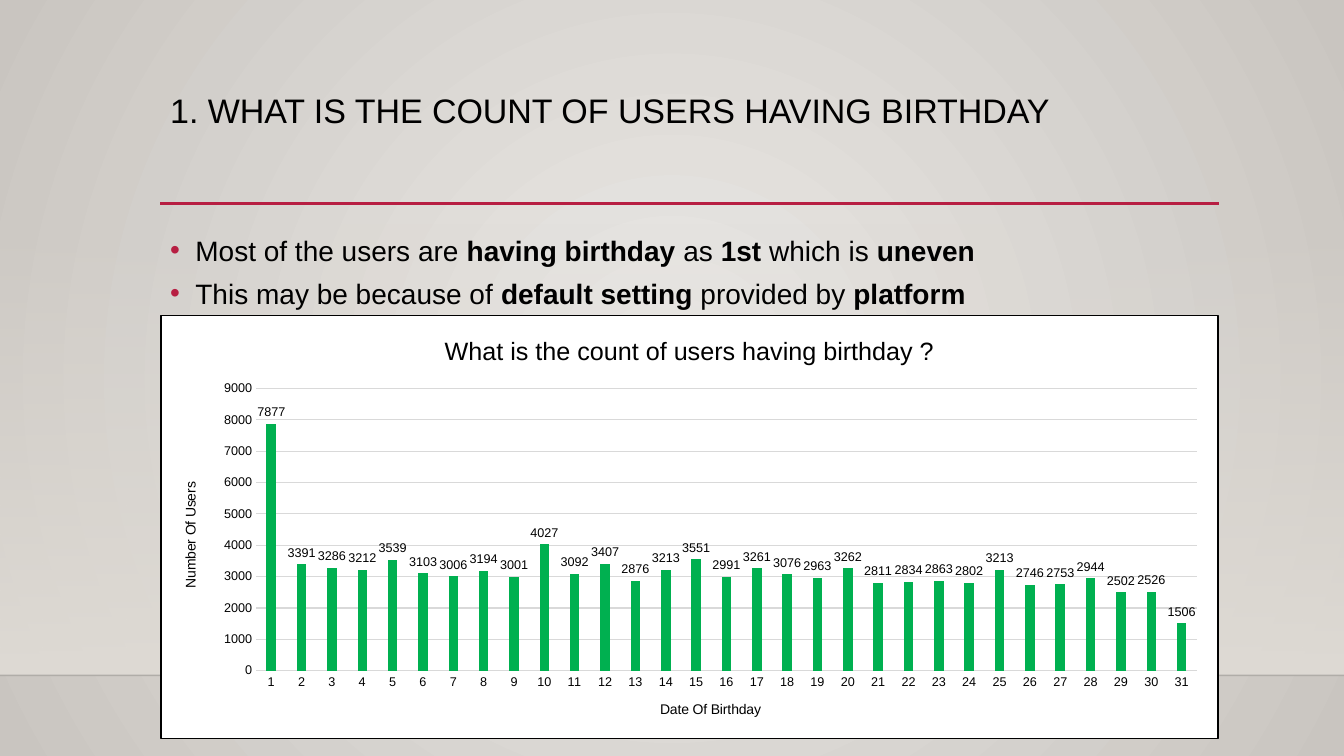
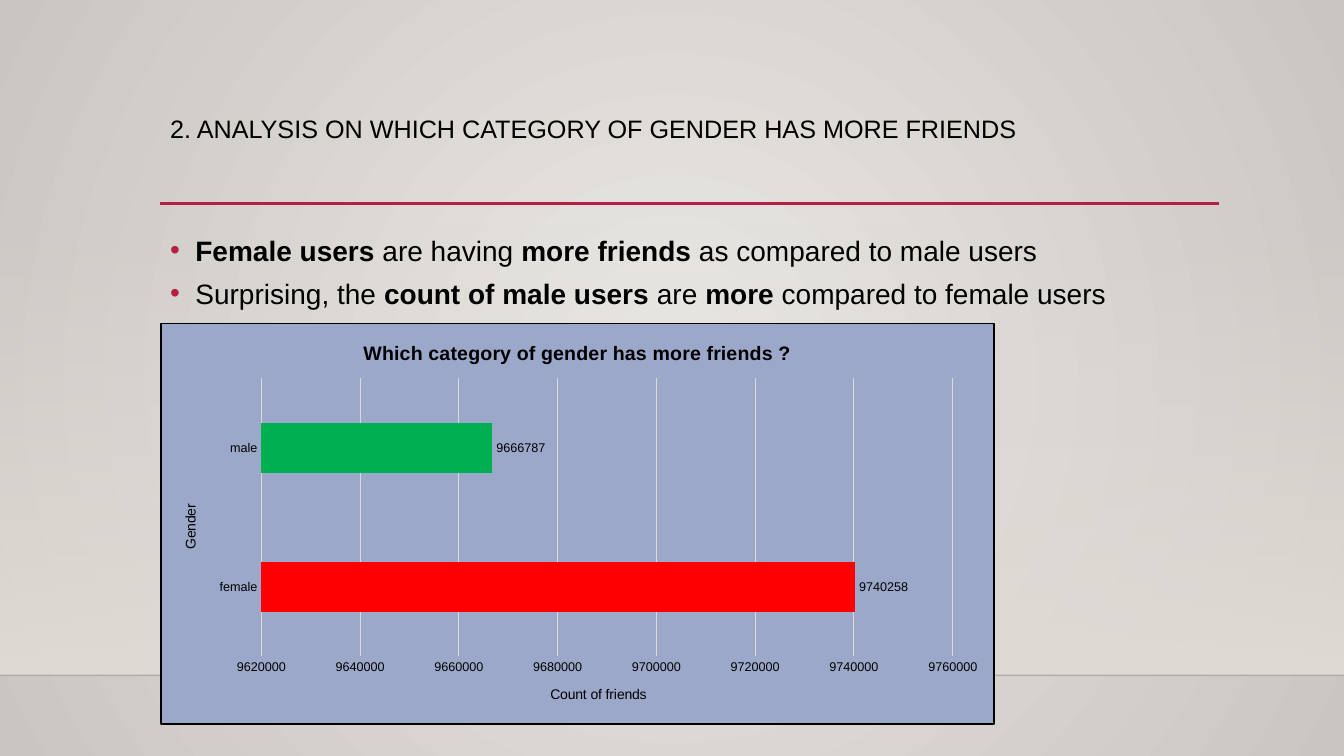
from lxml import etree
from pptx import Presentation
from pptx import util as u
from pptx.chart.data import CategoryChartData
from pptx.dml.color import RGBColor
from pptx.enum import chart as charts, shapes, text
from pptx.oxml import parse_xml
from pptx.oxml.ns import nsdecls, qn

# Colours
BLACK = RGBColor(0, 0, 0)
WHITE = RGBColor(255, 255, 255)
CRIMSON = RGBColor(0xB7, 0x1E, 0x42)
GRID = RGBColor(0xD9, 0xD9, 0xD9)
GREEN = RGBColor(0, 0xB0, 0x50)
RED = RGBColor(255, 0, 0)
LAVENDER = RGBColor(0x9B, 0xA8, 0xCA)
FLOOR = RGBColor(0xDF, 0xDB, 0xD5)
GLOW = RGBColor(0xEB, 0xE9, 0xE6)
EDGE = RGBColor(0xC9, 0xC5, 0xC0)

# Shared layout, in points
WIDTH, HEIGHT = 960, 540
LEFT, CONTENT_WIDTH = 114.5, 756
RULE_TOP, FLOOR_TOP, HORIZON = 145.5, 159, 482.4
FONT = "Arial"

CIRCLE = ('<a:path path="circle"><a:fillToRect l="50000" t="50000" '
          'r="50000" b="50000"/></a:path>')
DOWNWARD = '<a:lin ang="5400000" scaled="0"/>'


def set_gradient(properties, stops, direction):
    """Put a gradient in place of a solid fill; stops are (colour, opacity %)."""
    marks = "".join(
        f'<a:gs pos="{index * 100000}"><a:srgbClr val="{color}">'
        f'<a:alpha val="{opacity * 1000}"/></a:srgbClr></a:gs>'
        for index, (color, opacity) in enumerate(stops))
    gradient = parse_xml(f'<a:gradFill {nsdecls("a")} rotWithShape="1">'
                         f'<a:gsLst>{marks}</a:gsLst>{direction}</a:gradFill>')
    properties.replace(properties.find(qn("a:solidFill")), gradient)


def style_font(font, size, bold=False):
    font.name, font.size, font.bold = FONT, u.Pt(size), bold
    font.color.rgb = BLACK


class Slides:
    def __init__(self):
        self.deck = Presentation()
        self.deck.slide_width, self.deck.slide_height = u.Pt(WIDTH), u.Pt(HEIGHT)
        self.page = None

    def start(self):
        """Add a page with the backdrop, the horizon and the title rule."""
        self.page = self.deck.slides.add_slide(self.deck.slide_layouts[6])
        self.page.background.fill.solid()
        set_gradient(self.page.element.find(".//" + qn("p:bgPr")),
                     [(GLOW, 100), (EDGE, 100)], CIRCLE)
        wall = self.page.shapes.add_shape(
            shapes.MSO_SHAPE.RECTANGLE, 0, u.Pt(FLOOR_TOP),
            u.Pt(WIDTH), u.Pt(HORIZON - FLOOR_TOP))
        wall.shadow.inherit = False
        wall.line.fill.background()
        wall.fill.solid()
        set_gradient(wall.element.spPr, [(FLOOR, 0), (FLOOR, 100)], DOWNWARD)
        self.line(0, WIDTH, HORIZON, BLACK, 1, opacity=20)
        self.line(LEFT, LEFT + CONTENT_WIDTH, RULE_TOP, CRIMSON, 2.5)

    def line(self, left, right, top, color, weight, opacity=100):
        line = self.page.shapes.add_connector(
            shapes.MSO_CONNECTOR.STRAIGHT,
            u.Pt(left), u.Pt(top), u.Pt(right), u.Pt(top))
        line.line.color.rgb, line.line.width = color, u.Pt(weight)
        properties = line.element.spPr
        etree.SubElement(properties, qn("a:effectLst"))
        if opacity < 100:
            tone = properties.find(".//" + qn("a:srgbClr"))
            etree.SubElement(tone, qn("a:alpha"), val=str(opacity * 1000))

    def frame(self, top, height):
        box = self.page.shapes.add_textbox(
            u.Pt(LEFT), u.Pt(top), u.Pt(CONTENT_WIDTH), u.Pt(height))
        box.text_frame.word_wrap = True
        box.text_frame.vertical_anchor = text.MSO_ANCHOR.TOP
        return box.text_frame

    def title(self, words, top, height, size):
        para = self.frame(top, height).paragraphs[0]
        para.line_spacing = 0.9
        span = para.add_run()
        span.text = words
        style_font(span.font, size)

    def bullets(self, lines):
        """Write bulleted lines; words between ** marks are bold."""
        frame = self.frame(158.4, 66)
        for index, line in enumerate(lines):
            para = frame.add_paragraph() if index else frame.paragraphs[0]
            para.line_spacing, para.space_before = 1.2, u.Pt(1.75)
            properties = para._p.get_or_add_pPr()
            properties.set("marL", str(u.Pt(18)))
            properties.set("indent", str(u.Pt(-18)))
            color = etree.SubElement(properties, qn("a:buClr"))
            etree.SubElement(color, qn("a:srgbClr"), val=str(CRIMSON))
            etree.SubElement(properties, qn("a:buFont"), typeface=FONT)
            etree.SubElement(properties, qn("a:buChar"), char="•")
            for part, words in enumerate(line.split("**")):
                if words:
                    span = para.add_run()
                    span.text = words
                    style_font(span.font, 20, bold=part % 2 == 1)

    def chart(self, kind, place, heading, categories, values, category_title,
              value_title, color, gap, overlap=0, background=WHITE,
              heading_size=18, heading_bold=False, scale=None, point_colors=()):
        data = CategoryChartData()
        data.categories = categories
        data.add_series("Series 1", values)
        chart = self.page.shapes.add_chart(
            kind, *(u.Pt(length) for length in place), data).chart
        style_font(chart.font, 10)
        chart.has_legend = False
        self.caption(chart, heading, heading_size, heading_bold)
        outline = parse_xml(
            f'<c:spPr {nsdecls("c", "a")}><a:solidFill><a:srgbClr val="{background}"/>'
            f'</a:solidFill><a:ln w="{u.Pt(1)}"><a:solidFill><a:srgbClr val="{BLACK}"/>'
            '</a:solidFill></a:ln></c:spPr>')
        chart.element.find(qn("c:chart")).addnext(outline)

        # Bars and labels
        plot = chart.plots[0]
        plot.vary_by_categories = False
        plot.gap_width, plot.overlap = gap, overlap
        series = plot.series[0]
        series.invert_if_negative = False
        for bar, tone in [(series, color)] + [
                (series.points[i], tone) for i, tone in enumerate(point_colors)]:
            bar.format.fill.solid()
            bar.format.fill.fore_color.rgb = tone
        plot.has_data_labels = True
        labels = plot.data_labels
        labels.show_value = True
        labels.position = charts.XL_LABEL_POSITION.OUTSIDE_END
        style_font(labels.font, 9)

        # Axes
        category_axis, value_axis = chart.category_axis, chart.value_axis
        for axis, words in ((category_axis, category_title), (value_axis, value_title)):
            axis.major_tick_mark = axis.minor_tick_mark = charts.XL_TICK_MARK.NONE
            style_font(axis.tick_labels.font, 9)
            self.caption(axis, words, 10)
        category_axis.has_major_gridlines = False
        value_axis.has_major_gridlines = True
        for target in (category_axis, value_axis.major_gridlines):
            target.format.line.color.rgb = GRID
            target.format.line.width = u.Pt(0.75)
        value_axis.format.line.fill.background()
        if scale:
            (value_axis.minimum_scale, value_axis.maximum_scale,
             value_axis.major_unit) = scale
        is_column = kind == charts.XL_CHART_TYPE.COLUMN_CLUSTERED
        upright = value_axis if is_column else category_axis
        body = upright.axis_title.element.find(".//" + qn("a:bodyPr"))
        body.set("rot", "-5400000")
        body.set("vert", "horz")

    def caption(self, owner, words, size, bold=False):
        """Title a chart or one of its axes."""
        owner.has_title = True
        title = owner.chart_title if hasattr(owner, "chart_title") else owner.axis_title
        span = title.text_frame.paragraphs[0].add_run()
        span.text = words
        style_font(span.font, size, bold)


slides = Slides()

# Birthdays
slides.start()
slides.title("1. WHAT IS THE COUNT OF USERS HAVING BIRTHDAY", 63.4, 82.8, 24.3)
slides.bullets([
    "Most of the users are **having birthday** as **1st **which is **uneven**",
    "This may be because of **default setting** provided by **platform**"])
slides.chart(
    charts.XL_CHART_TYPE.COLUMN_CLUSTERED, (LEFT, 225, CONTENT_WIDTH, 303),
    "What is the count of users having birthday ?",
    [str(day) for day in range(1, 32)],
    [7877, 3391, 3286, 3212, 3539, 3103, 3006, 3194, 3001, 4027, 3092,
     3407, 2876, 3213, 3551, 2991, 3261, 3076, 2963, 3262, 2811, 2834,
     2863, 2802, 3213, 2746, 2753, 2944, 2502, 2526, 1506],
    "Date Of Birthday", "Number Of Users", GREEN, gap=219, overlap=-27,
    scale=(0, 9000, 1000))

# Friends by gender
slides.start()
slides.title("2. ANALYSIS ON WHICH CATEGORY OF GENDER HAS MORE FRIENDS", 80, 51, 18)
slides.bullets([
    "**Female users** are having **more friends** as compared to male users",
    "Surprising, the **count of male users** are **more** compared to female users"])
slides.chart(
    charts.XL_CHART_TYPE.BAR_CLUSTERED, (LEFT, 230.5, 596, 287),
    "Which category of gender has more friends ?",
    ["female", "male"], [9740258, 9666787],
    "Gender", "Count of friends", CRIMSON, gap=182, background=LAVENDER,
    heading_size=14, heading_bold=True, scale=(9620000, 9760000, 20000),
    point_colors=(RED, GREEN))

slides.deck.save("out.pptx")
